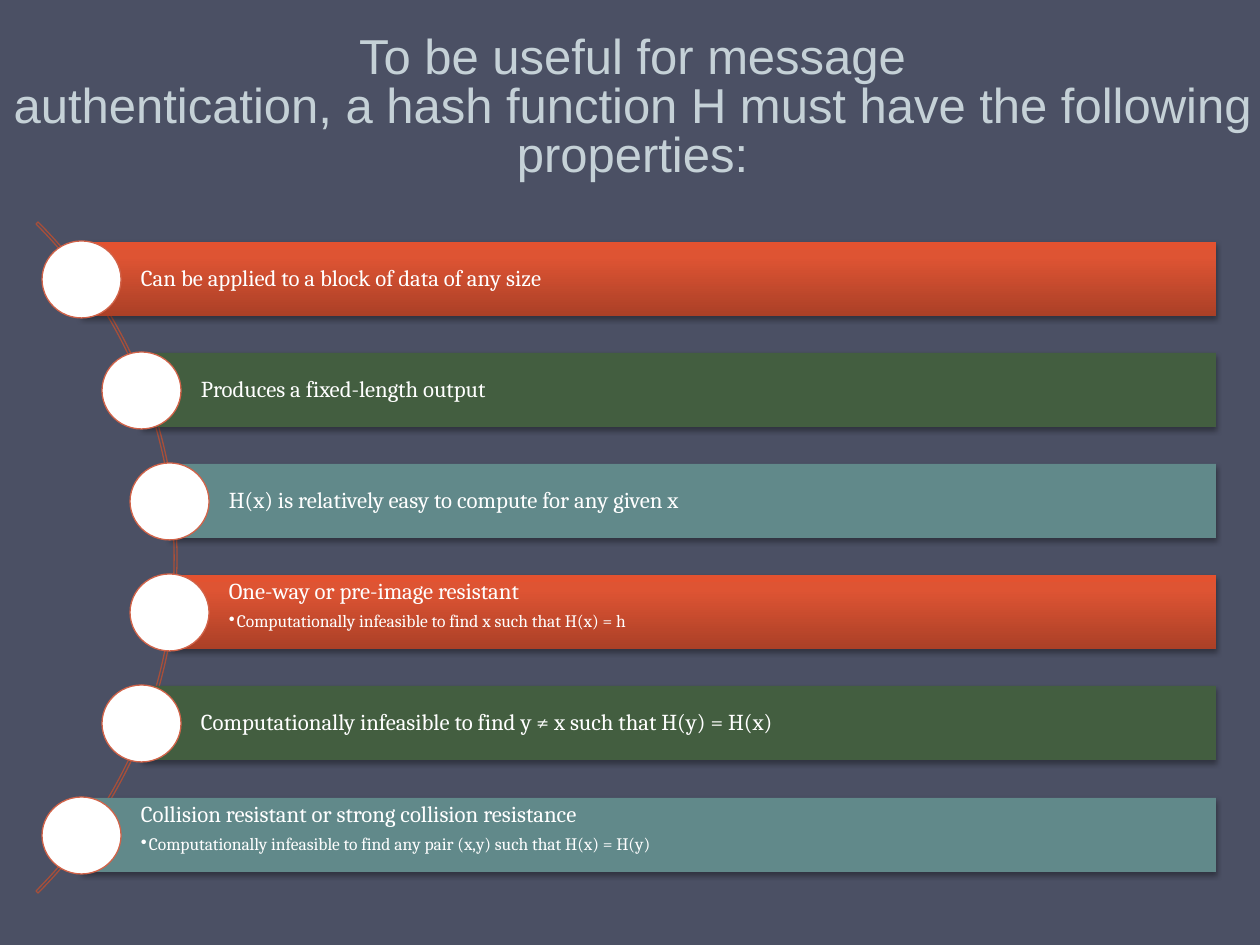
from dataclasses import dataclass

import lxml.etree
import pptx
import pptx.dml.color
import pptx.enum.shapes
import pptx.enum.text
import pptx.oxml.ns
import pptx.util

PIXEL = 914400 / 126
COLORS = {
    "background": "4B5064",
    "title": "C5D1D7",
    "text": "FFFFFF",
    "marker": "FFFFFF",
    "marker_line": "D16349",
    "arc": "A74F3A",
    "green": "435E40",
    "teal": "61898A",
    "shadow": "000000",
}
ORANGE_STOPS = ((0, "AB4027"), (80, "DE5433"), (100, "E35230"))
BAR_TOP, BAR_RIGHT, BAR_HEIGHT = 242, 1216, 74
LAST_BAR_OFFSET = 556
MARKER_WIDTH, MARKER_HEIGHT = 79, 77
BULLET_INDENT = 8


@dataclass
class Property:
    left: int
    fill: str
    heading: str
    detail: str = ""


PROPERTIES = [
    Property(82, "orange", "Can be applied to a block of data of any size"),
    Property(142, "green", "Produces a fixed-length output"),
    Property(170, "teal", "H(x) is relatively easy to compute for any given x"),
    Property(170, "orange", "One-way or pre-image resistant",
             "Computationally infeasible to find x such that H(x) = h"),
    Property(142, "green", "Computationally infeasible to find y ≠ x such that H(y) = H(x)"),
    Property(82, "teal", "Collision resistant or strong collision resistance",
             "Computationally infeasible to find any pair (x,y) such that H(x) = H(y)"),
]


def px(length: int) -> int:
    return round(length * PIXEL)


def color(name: str) -> pptx.dml.color.RGBColor:
    return pptx.dml.color.RGBColor.from_string(COLORS[name])


def add_element(parent, tag: str, **attributes):
    names = {key: str(value) for key, value in attributes.items()}
    return lxml.etree.SubElement(parent, pptx.oxml.ns.qn(tag), names)


def add_shape(page, kind, left: int, top: int, width: int, height: int):
    shape = page.shapes.add_shape(kind, px(left), px(top), px(width), px(height))
    shape.shadow.inherit = False
    return shape


def set_outline(shape, name: str) -> None:
    shape.line.color.rgb = color(name)
    shape.line.width = pptx.util.Pt(0.75)


def fill_orange(shape) -> None:
    shape.fill.gradient()
    shape.fill.gradient_angle = 90
    stops = shape._element.spPr.find(".//" + pptx.oxml.ns.qn("a:gsLst"))
    for stop in list(stops):
        stops.remove(stop)
    for position, value in ORANGE_STOPS:
        stop = add_element(stops, "a:gs", pos=position * 1000)
        add_element(stop, "a:srgbClr", val=value)


def add_shadow(shape) -> None:
    effects = shape._element.spPr.find(pptx.oxml.ns.qn("a:effectLst"))
    shadow = add_element(effects, "a:outerShdw", blurRad=pptx.util.Pt(3.1),
                         dist=pptx.util.Pt(1.8), dir=90 * 60000, rotWithShape=0)
    tint = add_element(shadow, "a:srgbClr", val=COLORS["shadow"])
    add_element(tint, "a:alpha", val=35000)


def format_text(para, size: int, space_after: float) -> None:
    para.alignment = pptx.enum.text.PP_ALIGN.LEFT
    para.line_spacing = 0.9
    para.space_after = pptx.util.Pt(space_after)
    para.font.name = "Cambria"
    para.font.size = pptx.util.Pt(size)
    para.font.color.rgb = color("text")


def add_title(page) -> None:
    title = page.shapes.title
    title.left, title.top, title.width, title.height = px(0), px(16), px(1265), px(221)
    frame = title.text_frame
    frame.auto_size = pptx.enum.text.MSO_AUTO_SIZE.NONE
    frame.vertical_anchor = pptx.enum.text.MSO_ANCHOR.BOTTOM
    frame.margin_bottom = px(55)
    frame.text = ("To be useful for message\v"
                  "authentication, a hash function H must have the following properties:")
    para = frame.paragraphs[0]
    para.alignment = pptx.enum.text.PP_ALIGN.CENTER
    para.line_spacing = pptx.util.Pt(28)
    para.font.name = "Arial"
    para.font.size = pptx.util.Pt(28)
    para.font.color.rgb = color("title")


def add_arc(page) -> None:
    arc = add_shape(page, pptx.enum.shapes.MSO_SHAPE.BLOCK_ARC, -772, 83, 949, 949)
    for index, value in enumerate((189, 27, 0.003)):
        arc.adjustments[index] = value
    arc.fill.background()
    set_outline(arc, "arc")


def add_bar(page, item: Property, top: int) -> None:
    bar = add_shape(page, pptx.enum.shapes.MSO_SHAPE.RECTANGLE,
                    item.left, top, BAR_RIGHT - item.left, BAR_HEIGHT)
    bar.line.fill.background()
    if item.fill == "orange":
        fill_orange(bar)
    else:
        bar.fill.solid()
        bar.fill.fore_color.rgb = color(item.fill)
    add_shadow(bar)

    frame = bar.text_frame
    frame.word_wrap = True
    frame.margin_left = px(59)
    frame.margin_top = frame.margin_right = frame.margin_bottom = px(5)
    anchors = pptx.enum.text.MSO_ANCHOR
    frame.vertical_anchor = anchors.TOP if item.detail else anchors.MIDDLE
    heading = frame.paragraphs[0]
    heading.text = item.heading
    format_text(heading, 13, 4.5)
    if item.detail:
        detail = frame.add_paragraph()
        detail.text = item.detail
        detail.level = 1
        settings = detail._p.get_or_add_pPr()
        settings.set("marL", str(px(BULLET_INDENT)))
        settings.set("indent", str(-px(BULLET_INDENT)))
        add_element(settings, "a:buChar", char="•")
        format_text(detail, 10, 1.5)


def add_marker(page, item: Property, top: int) -> None:
    marker = add_shape(page, pptx.enum.shapes.MSO_SHAPE.OVAL,
                       item.left - MARKER_WIDTH // 2 - 1, top - 1, MARKER_WIDTH, MARKER_HEIGHT)
    marker.fill.solid()
    marker.fill.fore_color.rgb = color("marker")
    set_outline(marker, "marker_line")


def main() -> None:
    deck = pptx.Presentation()
    deck.slide_width, deck.slide_height = px(1260), px(945)
    page = deck.slides.add_slide(deck.slide_layouts.get_by_name("Title Only"))
    page.background.fill.solid()
    page.background.fill.fore_color.rgb = color("background")
    add_title(page)
    add_arc(page)
    for row, item in enumerate(PROPERTIES):
        top = BAR_TOP + row * LAST_BAR_OFFSET // (len(PROPERTIES) - 1)
        add_bar(page, item, top)
        add_marker(page, item, top)
    deck.save("out.pptx")


if __name__ == "__main__":
    main()
